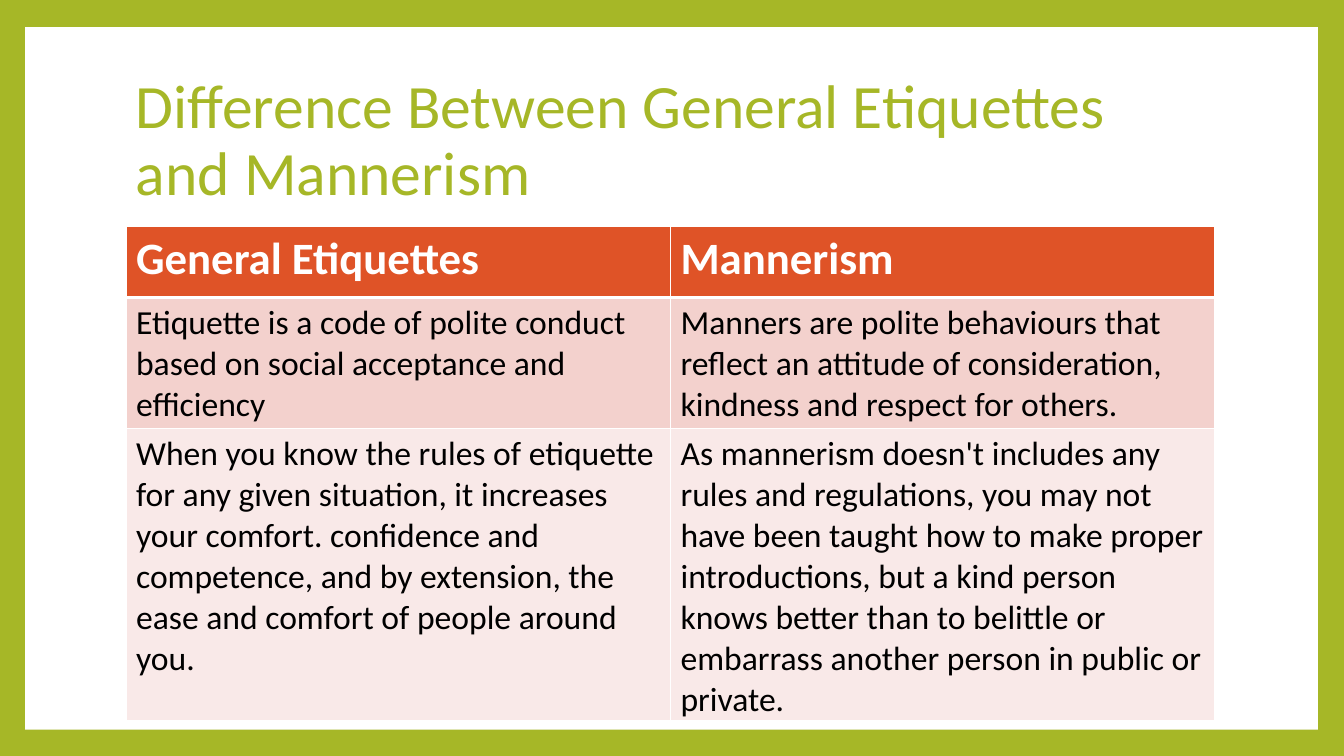
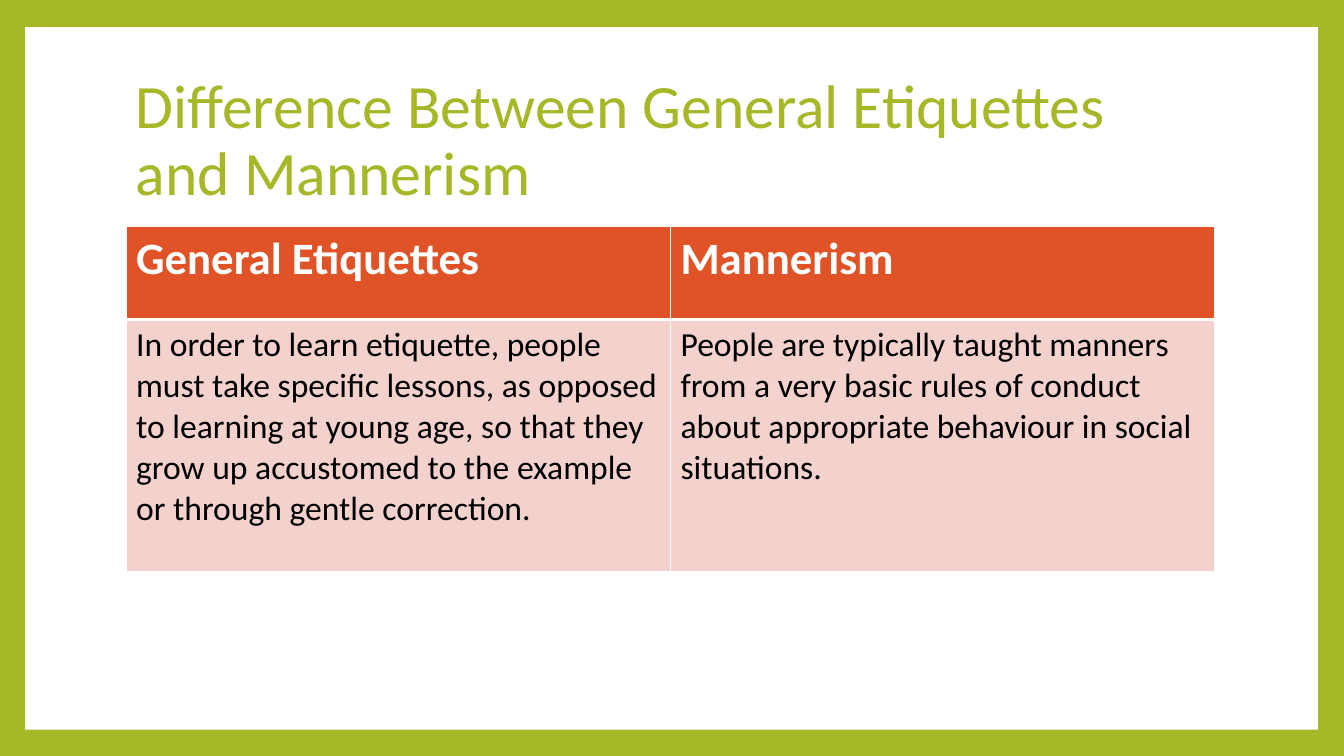
from pptx import Presentation
from pptx.dml.color import RGBColor
from pptx.enum.shapes import MSO_SHAPE as SHAPE
from pptx.enum.text import MSO_ANCHOR as ANCHOR
from pptx.oxml.ns import qn
from pptx.util import Emu, Pt
from lxml.etree import SubElement

EMU_PER_PX = 9144
FONT = "Calibri"
GREEN, WHITE, BLACK = "A6B727", "FFFFFF", "000000"
HEADER_FILL = "DF5327"
BAND_FILLS = ["F3D1CD", "F9E9E8"]
LEFT, WIDTH = 125, 1080
THIN, THICK = 1, 3

TITLE_STYLE = {"name": FONT, "size": Pt(44), "bold": False}
HEADER_STYLE = {"name": FONT, "size": Pt(32), "bold": True}
BODY_STYLE = {"name": FONT, "size": Pt(24), "bold": False}

TITLE = "Difference Between General Etiquettes and Mannerism"
HEADERS = ["General Etiquettes", "Mannerism"]
SLIDES = [
    {
        "heights": [70, 130, 290],
        "rows": [
            ["Etiquette is a code of polite conduct based on social acceptance "
             "and efficiency",
             "Manners are polite behaviours that reflect an attitude of "
             "consideration, kindness and respect for others."],
            ["When you know the rules of etiquette for any given situation, it "
             "increases your comfort. confidence and competence, and by "
             "extension, the ease and comfort of people around you.",
             "As mannerism doesn't includes any rules and regulations, you may "
             "not have been taught how to make proper introductions, but a kind "
             "person knows better than to belittle or embarrass another person "
             "in public or private."],
        ],
    },
    {
        "heights": [92, 250],
        "rows": [
            ["In order to learn etiquette, people must take specific lessons, as "
             "opposed to learning at young age, so that they grow up accustomed "
             "to the example or through gentle correction.",
             "People are typically taught manners from a very basic rules of "
             "conduct about appropriate behaviour in social situations."],
        ],
    },
]


def px(n):
    """Turn px into EMU."""
    return Emu(n * EMU_PER_PX)


def rgb(color):
    """Turn a hex string into a colour."""
    return RGBColor.from_string(color)


def set_fill(fill, color):
    """Give a fill one solid colour."""
    fill.solid()
    fill.fore_color.rgb = rgb(color)


def write(tf, text, style, color):
    """Write one styled run into a text frame."""
    p = tf.paragraphs[0]
    r = p.add_run()
    r.text = text
    for name, value in style.items():
        setattr(r.font, name, value)
    r.font.color.rgb = rgb(color)
    return p


def add_panel(s):
    """Draw the white panel that leaves a green frame."""
    sp = s.shapes.add_shape(SHAPE.RECTANGLE, px(25), px(27), px(1282), px(697))
    sp.shadow.inherit = False
    set_fill(sp.fill, WHITE)
    sp.line.fill.background()


def add_title(s, text):
    """Add the slide title."""
    tf = s.shapes.add_textbox(px(LEFT), px(67), px(WIDTH), px(148)).text_frame
    tf.word_wrap = True
    tf.vertical_anchor = ANCHOR.MIDDLE
    write(tf, text, TITLE_STYLE, GREEN).line_spacing = 0.9


def set_borders(cell, top, bottom):
    """Draw white borders round a cell, with widths in points."""
    tc_pr = cell._tc.get_or_add_tcPr()
    for side, width in {"L": THIN, "R": THIN, "T": top, "B": bottom}.items():
        ln = SubElement(tc_pr, qn(f"a:ln{side}"), w=str(Pt(width)))
        SubElement(SubElement(ln, qn("a:solidFill")), qn("a:srgbClr"), val=WHITE)


def add_comparison(s, headers, rows, heights):
    """Add a table with a header row and tinted body rows."""
    cells = [headers] + rows
    table = s.shapes.add_table(len(cells), len(headers), px(LEFT), px(225),
                               px(WIDTH), px(sum(heights))).table
    table.horz_banding = False
    for i, (texts, height) in enumerate(zip(cells, heights)):
        table.rows[i].height = px(height)
        if i == 0:
            style, color, fill = HEADER_STYLE, WHITE, HEADER_FILL
        else:
            style, color = BODY_STYLE, BLACK
            fill = BAND_FILLS[(i - 1) % len(BAND_FILLS)]
        for j, text in enumerate(texts):
            cell = table.cell(i, j)
            set_borders(cell, THICK if i == 1 else THIN, THICK if i == 0 else THIN)
            set_fill(cell.fill, fill)
            write(cell.text_frame, text, style, color)


def main():
    """Build and save the presentation."""
    prs = Presentation()
    prs.slide_width, prs.slide_height = px(1333), px(750)
    set_fill(prs.slide_master.background.fill, GREEN)
    for content in SLIDES:
        s = prs.slides.add_slide(prs.slide_layouts[6])
        add_panel(s)
        add_title(s, TITLE)
        add_comparison(s, HEADERS, content["rows"], content["heights"])
    prs.save("out.pptx")


if __name__ == "__main__":
    main()
